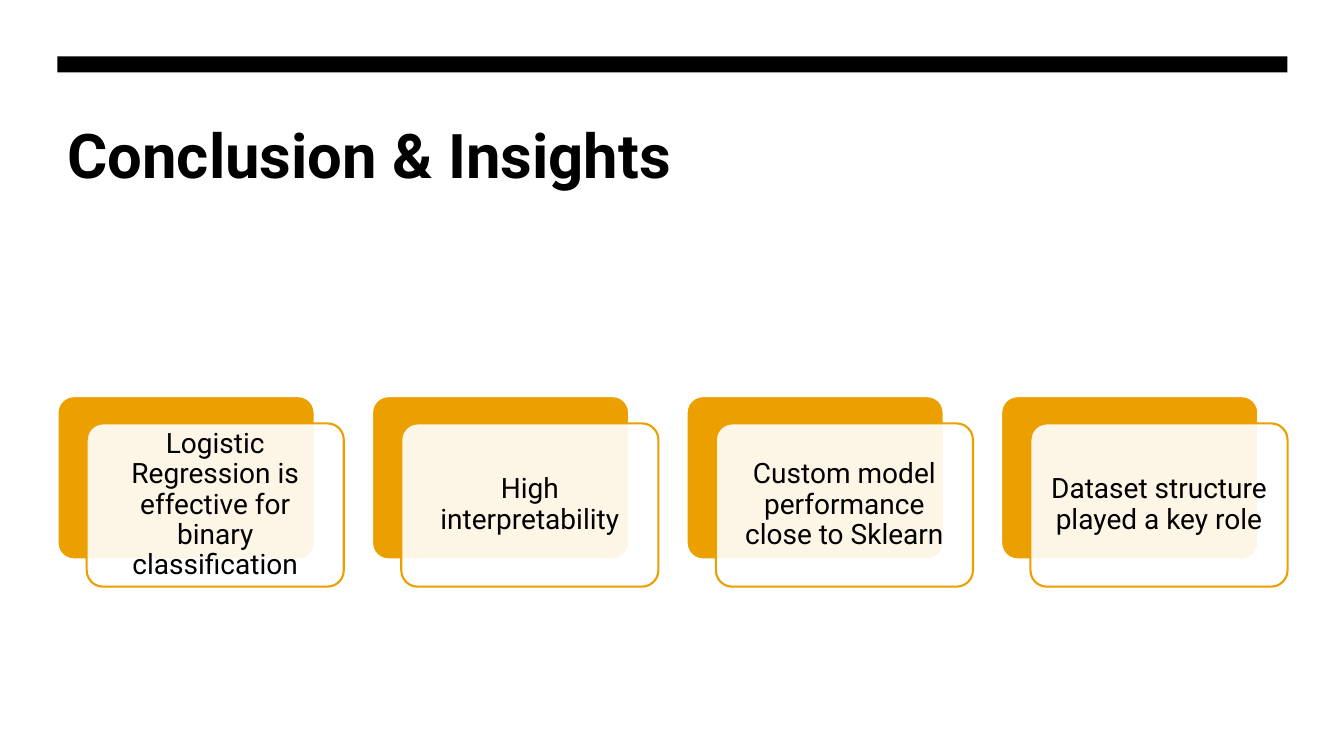
import pptx
import pptx.util
import pptx.dml.color
import pptx.enum.shapes
import pptx.enum.text
import lxml.etree

Inches, Pt = pptx.util.Inches, pptx.util.Pt
Shape = pptx.enum.shapes.MSO_SHAPE
Align = pptx.enum.text.PP_ALIGN
Anchor = pptx.enum.text.MSO_ANCHOR

FONT = "Roboto"
BLACK, WHITE, AMBER = "000000", "FFFFFF", "EBA000"
LEFT, WIDTH = 0.57, 12.2
TOP, PITCH = 3.93, 3.12
CARD_W, CARD_H = 2.55, 1.62
SHIFT_X, SHIFT_Y = 0.29, 0.27
POINTS = [
    "Logistic Regression is effective for binary classification",
    "High interpretability",
    "Custom model performance close to Sklearn",
    "Dataset structure played a key role",
]


def color(code):
    return pptx.dml.color.RGBColor.from_string(code)


def block(slide, kind, x, y, w, h, fill, line=None):
    shape = slide.shapes.add_shape(kind, Inches(x), Inches(y), Inches(w), Inches(h))
    shape.shadow.inherit = False
    shape.fill.solid()
    shape.fill.fore_color.rgb = color(fill)
    if line:
        shape.line.color.rgb = color(line)
        shape.line.width = Pt(1.5)
    else:
        shape.line.fill.background()
    return shape


def fade(shape, share):
    """Make the solid fill of a shape partly opaque."""
    tone = shape.fill._xPr.solidFill[0]
    alpha = lxml.etree.SubElement(tone, pptx.oxml.ns.qn("a:alpha"))
    alpha.set("val", str(share * 1000))


def write(shape, text, size, bold=False):
    shape.text_frame.word_wrap = True
    para = shape.text_frame.paragraphs[0]
    para.text = text
    para.font.name = FONT
    para.font.size = Pt(size)
    para.font.bold = bold
    para.font.color.rgb = color(BLACK)
    return para


def title(slide, text):
    box = slide.shapes.add_textbox(Inches(LEFT), Inches(1.11), Inches(WIDTH), Inches(1.56))
    write(box, text, 44, True)


def card(slide, x, text):
    """Draw an amber plate with a pale, labelled card set off from it."""
    plate = block(slide, Shape.ROUNDED_RECTANGLE, x, TOP, CARD_W, CARD_H, AMBER, WHITE)
    front = block(slide, Shape.ROUNDED_RECTANGLE, x + SHIFT_X, TOP + SHIFT_Y,
                  CARD_W, CARD_H, WHITE, AMBER)
    for shape in (plate, front):
        shape.adjustments[0] = 0.1
    fade(front, 90)
    frame = front.text_frame
    frame.margin_left = frame.margin_right = Inches(0.08)
    frame.margin_top = frame.margin_bottom = Inches(0.08)
    frame.vertical_anchor = Anchor.MIDDLE
    para = write(front, text, 20)
    para.alignment = Align.CENTER
    para.line_spacing = 0.9


def main():
    deck = pptx.Presentation()
    deck.slide_width, deck.slide_height = Inches(13.33), Inches(7.5)
    slide = deck.slides.add_slide(deck.slide_layouts[6])
    title(slide, "Conclusion & Insights")
    block(slide, Shape.RECTANGLE, LEFT, 0.56, WIDTH, 0.16, BLACK)
    for i, text in enumerate(POINTS):
        card(slide, LEFT + i * PITCH, text)
    deck.save("out.pptx")


if __name__ == "__main__":
    main()
